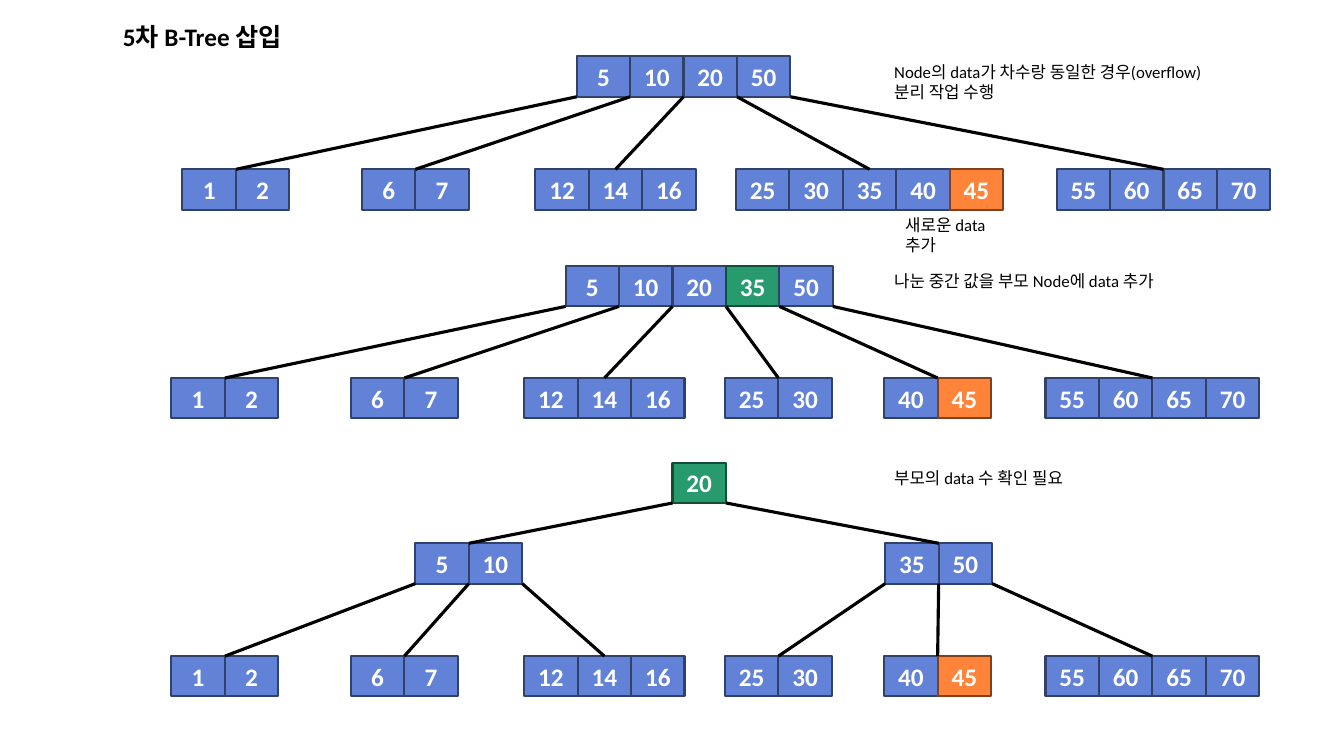
from itertools import pairwise

from lxml.etree import SubElement
from pptx import Presentation
from pptx.dml.color import RGBColor
from pptx.enum.shapes import MSO_CONNECTOR, MSO_SHAPE
from pptx.enum.text import MSO_ANCHOR, PP_ALIGN
from pptx.oxml.ns import qn
from pptx.util import Inches, Pt

BLACK = RGBColor(0x00, 0x00, 0x00)
WHITE = RGBColor(0xFF, 0xFF, 0xFF)
BLUE = RGBColor(0x61, 0x82, 0xD6)
BLUE_EDGE = RGBColor(0x30, 0x41, 0x6A)
ORANGE = RGBColor(0xFF, 0x84, 0x3A)
ORANGE_EDGE = RGBColor(0x7F, 0x42, 0x1D)
GREEN = RGBColor(0x28, 0x9B, 0x6E)
GREEN_EDGE = RGBColor(0x14, 0x4D, 0x37)

KEY_WIDTH = 0.53
KEY_HEIGHT = 0.4
INSERTED = 45


def write(frame, text, size=12, bold=False, color=BLACK, align=PP_ALIGN.LEFT):
    """Fill a text frame, one paragraph for each line of text."""
    frame.text = text
    frame.word_wrap = True
    for paragraph in frame.paragraphs:
        paragraph.alignment = align
        paragraph.font.name = "Calibri"
        paragraph.font.size = Pt(size)
        paragraph.font.bold = bold
        paragraph.font.color.rgb = color


prs = Presentation()
prs.slide_width = Inches(13.33)
prs.slide_height = Inches(7.5)
slide = prs.slides.add_slide(prs.slide_layouts[6])

# Each node is its left edge and its keys; each level is its top and its nodes.
leaves_before = [
    (1.81, [1, 2]), (3.59, [6, 7]), (5.31, [12, 14, 16]),
    (7.3, [25, 30, 35, 40, 45]), (10.48, [55, 60, 65, 70]),
]
leaves_after = [
    (1.7, [1, 2]), (3.48, [6, 7]), (5.2, [12, 14, 16]),
    (7.19, [25, 30]), (8.77, [40, 45]), (10.37, [55, 60, 65, 70]),
]
# Each tree is the key that moved up and the levels from the root down.
trees = [
    (None, [(0.56, [(5.72, [5, 10, 20, 50])]), (1.68, leaves_before)]),
    (35, [(2.64, [(5.61, [5, 10, 20, 35, 50])]), (3.75, leaves_after)]),
    (20, [
        (4.59, [(6.67, [20])]),
        (5.39, [(4.12, [5, 10]), (8.78, [35, 50])]),
        (6.51, leaves_after),
    ]),
]

for promoted, levels in trees:
    for top, nodes in levels:
        for left, keys in nodes:
            for column, key in enumerate(keys):
                cell = slide.shapes.add_shape(
                    MSO_SHAPE.RECTANGLE,
                    Inches(left + column * KEY_WIDTH), Inches(top),
                    Inches(KEY_WIDTH), Inches(KEY_HEIGHT))
                if key == INSERTED:
                    fill, edge = ORANGE, ORANGE_EDGE
                elif key == promoted:
                    fill, edge = GREEN, GREEN_EDGE
                else:
                    fill, edge = BLUE, BLUE_EDGE
                cell.shadow.inherit = False
                cell.fill.solid()
                cell.fill.fore_color.rgb = fill
                cell.line.color.rgb = edge
                cell.line.width = Pt(1.5)
                cell.text_frame.vertical_anchor = MSO_ANCHOR.MIDDLE
                write(cell.text_frame, str(key), size=18, bold=True,
                      color=WHITE, align=PP_ALIGN.CENTER)

    # A node with n keys takes the next n + 1 nodes of the level below.
    for (top, parents), (child_top, children) in pairwise(levels):
        remaining = iter(children)
        for left, keys in parents:
            for branch in range(len(keys) + 1):
                child_left, child_keys = next(remaining)
                link = slide.shapes.add_connector(
                    MSO_CONNECTOR.STRAIGHT,
                    Inches(left + branch * KEY_WIDTH), Inches(top + KEY_HEIGHT),
                    Inches(child_left + len(child_keys) * KEY_WIDTH / 2),
                    Inches(child_top))
                link.line.color.rgb = BLACK
                link.line.width = Pt(2.25)
                SubElement(link._element.spPr, qn("a:effectLst"))

labels = [
    ("5차 B-Tree 삽입", 1.12, 0.16, 1.86, 0.4, {"size": 18, "bold": True}),
    ("새로운 data 추가", 8.88, 2.08, 1.25, 0.3, {}),
    ("Node의 data가 차수랑 동일한 경우(overflow)\n분리 작업 수행",
     8.77, 0.56, 3.71, 0.49, {}),
    ("나눈 중간 값을 부모 Node에 data 추가", 8.77, 2.64, 3.06, 0.29, {}),
    ("부모의 data 수 확인 필요", 8.77, 4.59, 3.06, 0.3, {}),
]
for text, left, top, width, height, style in labels:
    label = slide.shapes.add_textbox(
        Inches(left), Inches(top), Inches(width), Inches(height))
    write(label.text_frame, text, **style)

prs.save("out.pptx")
